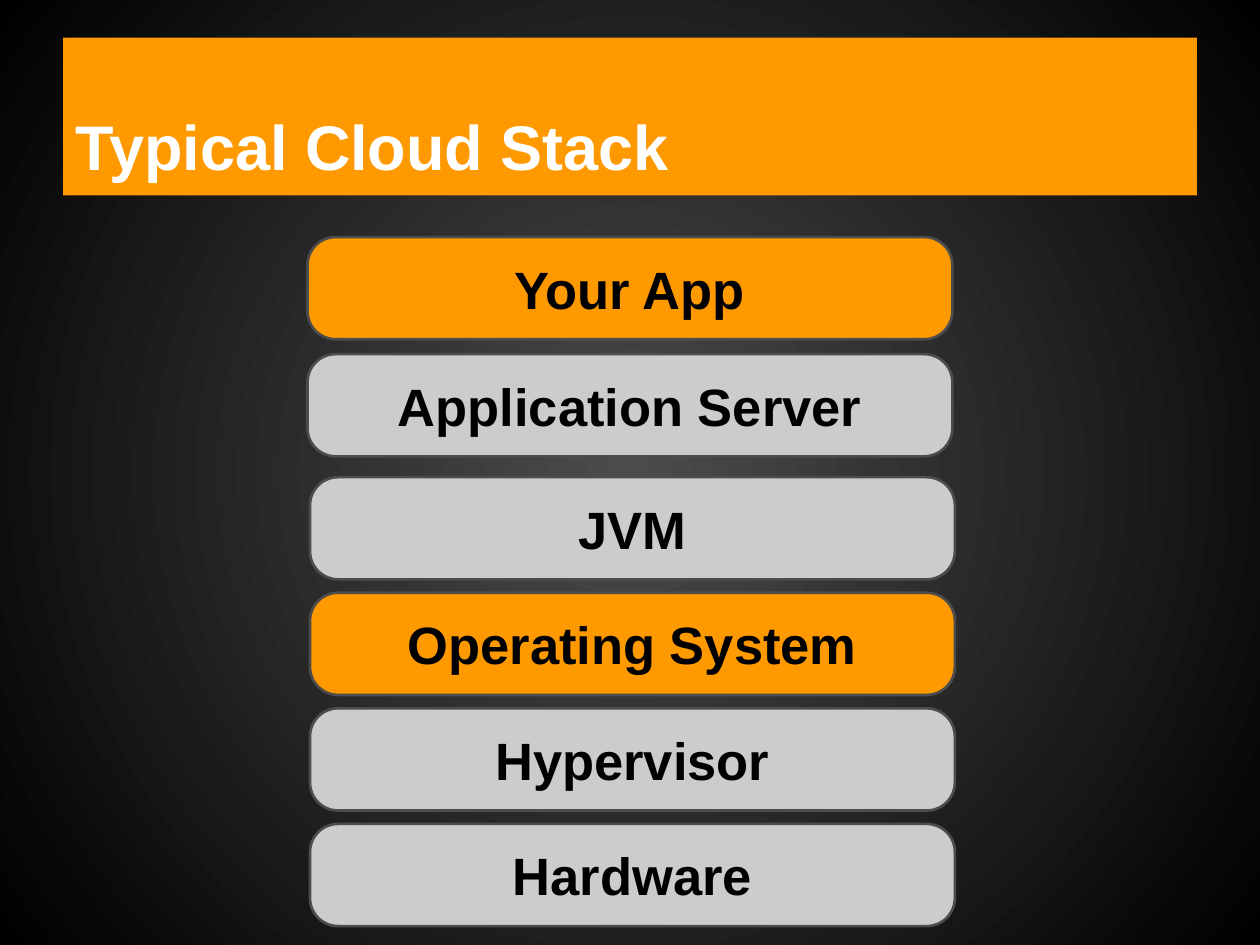
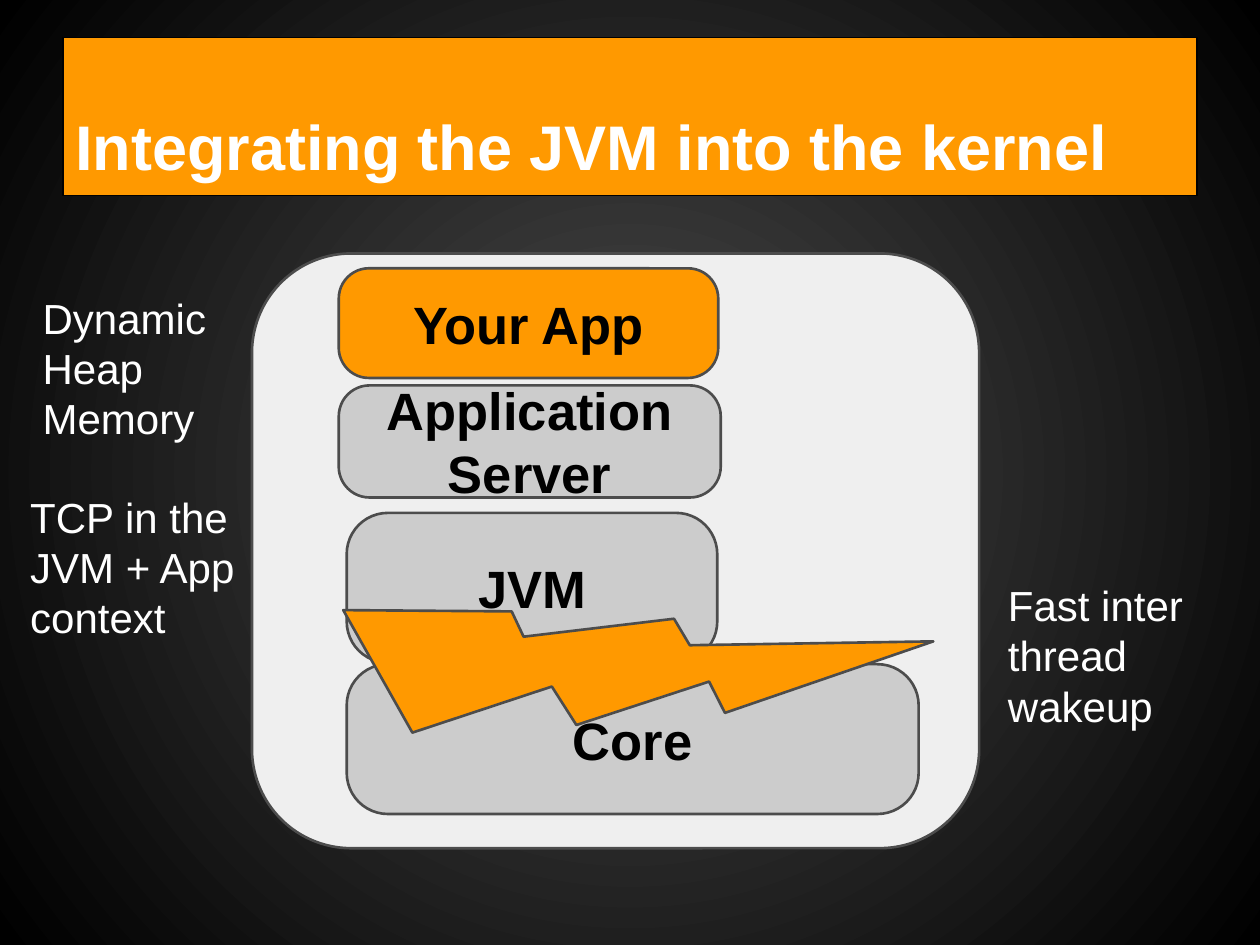
from dataclasses import dataclass
from typing import Optional

from pptx import Presentation
from pptx.dml.color import RGBColor
from pptx.enum.shapes import MSO_SHAPE
from pptx.enum.text import MSO_ANCHOR, MSO_AUTO_SIZE, PP_ALIGN
from pptx.oxml import parse_xml
from pptx.oxml.ns import nsdecls, qn
from pptx.presentation import Presentation as Deck
from pptx.shapes.base import BaseShape
from pptx.slide import Slide
from pptx.text.text import TextFrame
from pptx.util import Cm, Pt

FONT = "Arial"
ORANGE, GREY, PALE = "FF9900", "CCCCCC", "EFEFEF"
DARK, BLACK, WHITE = "4C4C4C", "000000", "FFFFFF"
INSET = 0.25


@dataclass
class Block:
    """A filled shape; lengths in centimetres, rotation in degrees."""
    text: str
    left: float
    top: float
    width: float
    height: float
    fill: str = GREY
    corner: float = 0.275
    kind: MSO_SHAPE = MSO_SHAPE.ROUNDED_RECTANGLE
    rotation: float = 0


@dataclass
class Note:
    lines: list[str]
    left: float
    top: float
    width: float = 5
    height: float = 2.5


def rgb(value: str) -> RGBColor:
    return RGBColor.from_string(value)


def paint(shape: BaseShape, fill: str, line: Optional[str], weight: float = 1.5) -> None:
    shape.fill.solid()
    shape.fill.fore_color.rgb = rgb(fill)
    if line is None:
        shape.line.fill.background()
    else:
        shape.line.color.rgb = rgb(line)
        shape.line.width = Pt(weight)


def write(tf: TextFrame, lines: list[str], size: float, color: str, bold: bool,
          align: PP_ALIGN, anchor: MSO_ANCHOR) -> None:
    tf.word_wrap = True
    tf.auto_size = MSO_AUTO_SIZE.NONE
    tf.vertical_anchor = anchor
    tf.margin_left = tf.margin_right = tf.margin_top = tf.margin_bottom = Cm(INSET)
    for i, line in enumerate(lines):
        p = tf.add_paragraph() if i else tf.paragraphs[0]
        p.alignment = align
        r = p.add_run()
        r.text = line
        r.font.name, r.font.size, r.font.bold = FONT, Pt(size), bold
        r.font.color.rgb = rgb(color)


def set_background(prs: Deck) -> None:
    """Give the master a gradient that darkens from the centre outwards."""
    fill = prs.slide_master.background.fill
    fill.gradient()
    for stop, color in zip(fill.gradient_stops, (DARK, BLACK)):
        stop.color.rgb = rgb(color)
    grad = next(prs.slide_master.element.iter(qn("a:gradFill")))
    grad.remove(grad.find(qn("a:lin")))
    grad.append(parse_xml(
        f'<a:path {nsdecls("a")} path="circle">'
        '<a:fillToRect l="50000" t="50000" r="50000" b="50000"/></a:path>'))


def add_titled_slide(prs: Deck, title: str, outline: Optional[str] = None) -> Slide:
    s = prs.slides.add_slide(prs.slide_layouts[5])
    sp = s.shapes.title
    sp.left, sp.top, sp.width, sp.height = Cm(1.27), Cm(0.76), Cm(22.86), Cm(3.18)
    paint(sp, ORANGE, outline, 0.75)
    write(sp.text_frame, [title], 36, WHITE, True, PP_ALIGN.LEFT, MSO_ANCHOR.BOTTOM)
    return s


def add_block(s: Slide, b: Block) -> None:
    sp = s.shapes.add_shape(b.kind, Cm(b.left), Cm(b.top), Cm(b.width), Cm(b.height))
    sp.shadow.inherit = False
    sp.rotation = b.rotation
    if b.kind == MSO_SHAPE.ROUNDED_RECTANGLE:
        sp.adjustments[0] = b.corner
    paint(sp, b.fill, DARK)
    if b.text:
        write(sp.text_frame, [b.text], 30, BLACK, True, PP_ALIGN.CENTER, MSO_ANCHOR.MIDDLE)


def add_note(s: Slide, n: Note) -> None:
    sp = s.shapes.add_textbox(Cm(n.left), Cm(n.top), Cm(n.width), Cm(n.height))
    write(sp.text_frame, n.lines, 24, WHITE, False, PP_ALIGN.LEFT, MSO_ANCHOR.TOP)


def add_stack(s: Slide, left: float, top: float, pitch: float,
              layers: list[tuple[str, str]]) -> None:
    for i, (text, fill) in enumerate(layers):
        add_block(s, Block(text, left, top + i * pitch, 13, 2.06, fill))


def build_cloud_stack(prs: Deck) -> None:
    s = add_titled_slide(prs, "Typical Cloud Stack")
    add_stack(s, 6.2, 4.78, 2.36, [("Your App", ORANGE), ("Application Server", GREY)])
    add_stack(s, 6.25, 9.62, 2.33, [("JVM", GREY), ("Operating System", ORANGE),
                                    ("Hypervisor", GREY), ("Hardware", GREY)])


def build_kernel_integration(prs: Deck) -> None:
    s = add_titled_slide(prs, "Integrating the JVM into the kernel", BLACK)
    blocks = [
        Block("", 5.08, 5.11, 14.66, 11.99, PALE, 0.167),
        Block("Core", 6.99, 13.39, 11.53, 3.02),
        Block("JVM", 6.99, 10.34, 7.47, 3.02),
        Block("Application Server", 6.83, 7.77, 7.7, 2.26),
        Block("Your App", 6.83, 5.41, 7.65, 2.21, ORANGE),
    ]
    notes = [
        Note(["Dynamic", "Heap", "Memory"], 0.61, 5.64),
        Note(["TCP in the", "JVM + App", "context"], 0.36, 9.65),
        Note(["Fast inter", "thread wakeup"], 20.07, 11.43),
    ]
    for block in blocks:
        add_block(s, block)
    for note in notes:
        add_note(s, note)
    add_block(s, Block("", 10.11, 7.77, 4.93, 11.53, ORANGE,
                       kind=MSO_SHAPE.LIGHTNING_BOLT, rotation=287.6))


def main() -> None:
    prs = Presentation()
    prs.slide_width, prs.slide_height = Cm(25.4), Cm(19.05)
    set_background(prs)
    build_cloud_stack(prs)
    build_kernel_integration(prs)
    prs.save("out.pptx")


if __name__ == "__main__":
    main()
